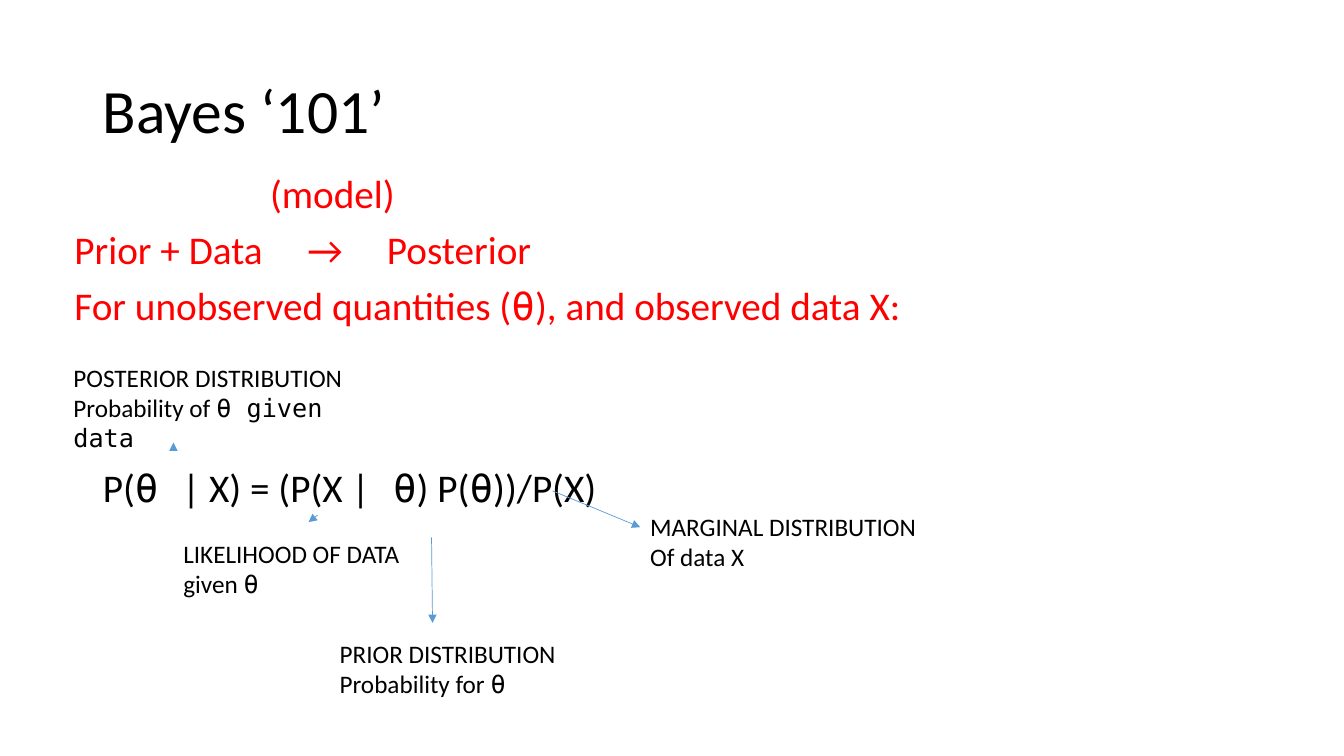
"""Build the Bayes '101' slide: the rule, its terms and what each term means."""
from lxml import etree
from pptx import Presentation
from pptx.dml.color import RGBColor
from pptx.enum.shapes import MSO_CONNECTOR
from pptx.enum.text import MSO_ANCHOR, MSO_AUTO_SIZE, PP_ALIGN
from pptx.oxml.ns import qn
from pptx.util import Inches, Pt

BLACK = RGBColor(0x00, 0x00, 0x00)
RED = RGBColor(0xFF, 0x00, 0x00)
BLUE = RGBColor(0x5B, 0x9B, 0xD5)
FONTS = ("Calibri", "DejaVu Sans Mono")
STRAIGHT = MSO_CONNECTOR.STRAIGHT
LEFT = PP_ALIGN.LEFT
TOP, MIDDLE = MSO_ANCHOR.TOP, MSO_ANCHOR.MIDDLE
NO_FIT = MSO_AUTO_SIZE.NONE


def place(shape, left, top, width, height, anchor=TOP):
    shape.left, shape.top = Inches(left), Inches(top)
    shape.width, shape.height = Inches(width), Inches(height)
    frame = shape.text_frame
    frame.word_wrap = True
    frame.auto_size = NO_FIT
    frame.vertical_anchor = anchor
    return frame


def write(frame, lines, size, color, spacing=1.0, before=0):
    """Fill the frame; the pieces of a line alternate between the two fonts."""
    for number, pieces in enumerate(lines):
        paragraph = frame.add_paragraph() if number else frame.paragraphs[0]
        paragraph.alignment = LEFT
        paragraph.line_spacing = spacing
        paragraph.space_before = Pt(before)
        for position, piece in enumerate(pieces):
            run = paragraph.add_run()
            run.text = piece
            run.font.name = FONTS[position % 2]
            run.font.size = Pt(size)
            run.font.color.rgb = color


prs = Presentation()
prs.slide_width, prs.slide_height = Inches(13.33), Inches(7.5)
slide = prs.slides.add_slide(prs.slide_layouts[1])
title, equation = slide.placeholders

title_frame = place(title, 0.92, 0.4, 11.5, 1.45, MIDDLE)
write(title_frame, [["Bayes ‘101’"]], 44, BLACK, 0.9)

equation_frame = place(equation, 0.92, 4.6, 11.5, 2.7)
write(equation_frame,
      [["P(", "θ ", "| X) = (P(X |", " θ", ") P(", "θ", "))/P(X)"]],
      28, BLACK, 0.9, 10)
equation_props = equation_frame.paragraphs[0]._p.get_or_add_pPr()
equation_props.set("marL", "0")
equation_props.set("indent", "0")
etree.SubElement(equation_props, qn("a:buNone"))

TERMS = [
    (0.63, 3.54, 3.24, [["POSTERIOR DISTRIBUTION"], ["Probability of ", "θ given data"]]),
    (1.72, 5.29, 2.87, [["LIKELIHOOD OF DATA given ", "θ"]]),
    (3.27, 6.28, 2.87, [["PRIOR DISTRIBUTION"], ["Probability for ", "θ"]]),
    (6.35, 5.02, 2.87, [["MARGINAL DISTRIBUTION"], ["Of data X"]]),
]
for left, top, width, lines in TERMS:
    term = slide.shapes.add_textbox(0, 0, 0, 0)
    write(place(term, left, top, width, 0.71), lines, 18, BLACK)

ARROWS = [
    (5.48, 4.87, 6.35, 5.23),
    (4.28, 5.33, 4.29, 6.18),
    (3.15, 5.11, 3.06, 5.18),
    (1.72, 4.47, 1.72, 4.39),
]
for ends in ARROWS:
    arrow = slide.shapes.add_connector(STRAIGHT, *map(Inches, ends))
    arrow.line.color.rgb = BLUE
    arrow.line.width = Pt(0.5)
    etree.SubElement(arrow.line._get_or_add_ln(), qn("a:tailEnd"), type="triangle")
    etree.SubElement(arrow._element.spPr, qn("a:effectLst"))

summary = slide.shapes.add_textbox(0, 0, 0, 0)
summary_frame = place(summary, 0.64, 1.68, 11.5, 1.8)
write(summary_frame,
      [["(model)"],
       ["Prior + Data\t→\tPosterior"],
       ["For unobserved quantities (", "θ", "), and observed data X:"]],
      28, RED, 0.9, 10)
model_line, flow_line = summary_frame.paragraphs[:2]
model_line._p.get_or_add_pPr().set("marL", str(Inches(1.94)))
tab_stops = etree.SubElement(flow_line._p.get_or_add_pPr(), qn("a:tabLst"))
for stop in (2.31, 3.1):
    etree.SubElement(tab_stops, qn("a:tab"), pos=str(Inches(stop)), algn="l")

prs.save("out.pptx")
